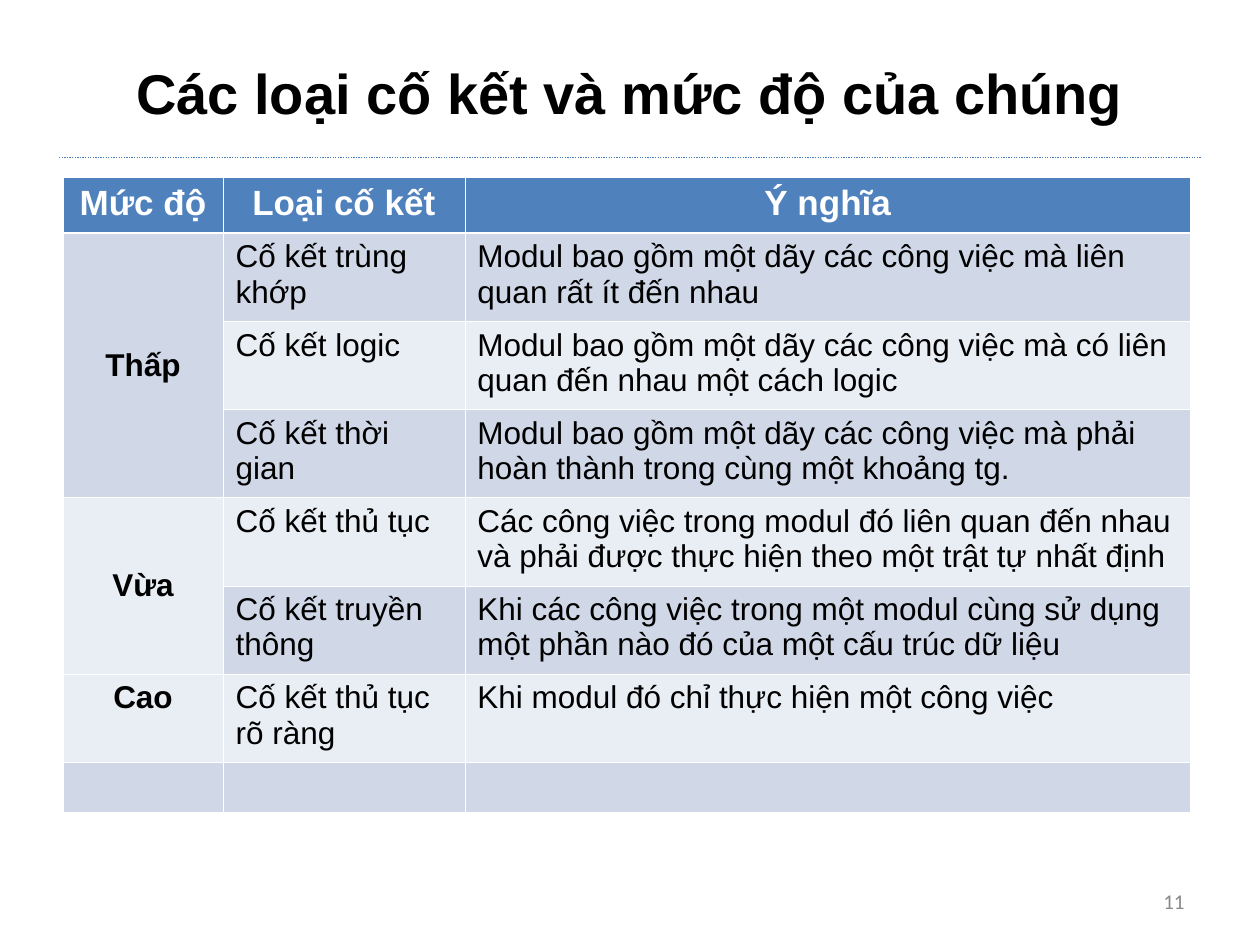
from dataclasses import dataclass

from lxml.etree import SubElement
from pptx import Presentation
from pptx.dml.color import RGBColor as Color
from pptx.enum.dml import MSO_LINE_DASH_STYLE as Dash
from pptx.enum.shapes import MSO_CONNECTOR_TYPE as Connector
from pptx.enum.text import MSO_VERTICAL_ANCHOR as Anchor, PP_PARAGRAPH_ALIGNMENT as Align
from pptx.oxml import parse_xml
from pptx.oxml.ns import nsdecls, qn
from pptx.util import Inches, Pt

COLUMNS, ROWS = 100, 75


@dataclass(frozen=True)
class Theme:
    """Colours, fonts and type sizes of the deck."""
    text: str = "000000"
    muted: str = "898989"
    rule: str = "4A7EBB"
    header: str = "4F81BD"
    header_text: str = "FFFFFF"
    border: str = "FFFFFF"
    bands: tuple = ("D0D8E8", "E9EDF4")
    font: str = "Arial"
    number_font: str = "Calibri"
    title_size: int = 32
    header_size: int = 20
    body_size: int = 18
    number_size: int = 12
    thin: float = 0.45
    thick: float = 1.47


def apply(target, values):
    """Set each named attribute on the target."""
    for name, value in values.items():
        setattr(target, name, value)


class SlideBuilder:
    """Draws styled elements on the current slide, measured in grid units."""

    def __init__(self, presentation, theme):
        """Add a title-only slide to the presentation."""
        self.theme = theme
        self.unit_x = presentation.slide_width / COLUMNS
        self.unit_y = presentation.slide_height / ROWS
        self.slide = presentation.slides.add_slide(presentation.slide_layouts[5])

    def box(self, left, top, width, height):
        """Turn grid units into lengths."""
        return (round(left * self.unit_x), round(top * self.unit_y),
                round(width * self.unit_x), round(height * self.unit_y))

    def set_text(self, frame, text, size, color=None, bold=False, align=Align.LEFT, font=None):
        """Fill the first paragraph of a text frame and format it."""
        paragraph = frame.paragraphs[0]
        paragraph.text = text
        paragraph.alignment = align
        apply(paragraph.font, {"name": font or self.theme.font, "size": Pt(size), "bold": bold})
        paragraph.font.color.rgb = Color.from_string(color or self.theme.text)

    def title(self, text, area):
        """Place and format the title placeholder."""
        shape = self.slide.shapes.title
        apply(shape, dict(zip(("left", "top", "width", "height"), self.box(*area))))
        shape.text_frame.vertical_anchor = Anchor.MIDDLE
        self.set_text(shape.text_frame, text, self.theme.title_size, bold=True,
                      align=Align.CENTER)

    def rule(self, left, top, width):
        """Draw a dotted horizontal line."""
        x, y, length, _ = self.box(left, top, width, 0)
        line = self.slide.shapes.add_connector(Connector.STRAIGHT, x, y, x + length, y)
        line.line.color.rgb = Color.from_string(self.theme.rule)
        apply(line.line, {"width": Pt(0.75), "dash_style": Dash.ROUND_DOT})
        SubElement(line._element.spPr, qn("a:effectLst"))

    def page_number(self, text, area):
        """Put the page number in a text box."""
        frame = self.slide.shapes.add_textbox(*self.box(*area)).text_frame
        apply(frame, {"word_wrap": True, "vertical_anchor": Anchor.MIDDLE})
        self.set_text(frame, text, self.theme.number_size, self.theme.muted,
                      align=Align.RIGHT, font=self.theme.number_font)

    def borders(self, cell, top, bottom):
        """Outline a cell with the border colour."""
        widths = {"lnL": self.theme.thin, "lnR": self.theme.thin, "lnT": top, "lnB": bottom}
        properties = cell._tc.get_or_add_tcPr()
        for index, (side, width) in enumerate(widths.items()):
            properties.insert(index, parse_xml(
                f'<a:{side} {nsdecls("a")} w="{Pt(width)}"><a:solidFill>'
                f'<a:srgbClr val="{self.theme.border}"/></a:solidFill></a:{side}>'))

    def cell(self, cell, text, row, column):
        """Fill, outline and label one table cell."""
        theme = self.theme
        is_header = row == 0
        emphasis = is_header or column == 0
        cell.fill.solid()
        fill = theme.header if is_header else theme.bands[(row - 1) % 2]
        cell.fill.fore_color.rgb = Color.from_string(fill)
        self.borders(cell, theme.thick if row == 1 else theme.thin,
                     theme.thick if is_header else theme.thin)
        cell.vertical_anchor = Anchor.MIDDLE if cell.is_merge_origin else Anchor.TOP
        self.set_text(cell.text_frame, text,
                      theme.header_size if is_header else theme.body_size,
                      theme.header_text if is_header else theme.text,
                      emphasis, Align.CENTER if emphasis else Align.LEFT)

    def table(self, records, left, top, widths, heights, spans):
        """Add a table whose first column merges over the given row spans."""
        area = self.box(left, top, sum(widths), sum(heights))
        table = self.slide.shapes.add_table(len(heights), len(widths), *area).table
        for column, width in zip(table.columns, widths):
            column.width = round(width * self.unit_x)
        for row, height in zip(table.rows, heights):
            row.height = round(height * self.unit_y)
        for first, last in spans:
            table.cell(first, 0).merge(table.cell(last, 0))
        for row, record in enumerate(records):
            for column, text in enumerate(record):
                self.cell(table.cell(row, column), text, row, column)


RECORDS = [
    ("Mức độ", "Loại cố kết", "Ý nghĩa"),
    ("Thấp", "Cố kết trùng khớp",
     "Modul bao gồm một dãy các công việc mà liên quan rất ít đến nhau"),
    ("", "Cố kết logic",
     "Modul bao gồm một dãy các công việc mà có liên quan đến nhau một cách logic"),
    ("", "Cố kết thời gian",
     "Modul bao gồm một dãy các công việc mà phải hoàn thành trong cùng một khoảng tg."),
    ("Vừa", "Cố kết thủ tục",
     "Các công việc trong modul đó liên quan đến nhau và phải được thực hiện "
     "theo một trật tự nhất định"),
    ("", "Cố kết truyền thông",
     "Khi các công việc trong một modul cùng sử dụng một phần nào đó của một cấu trúc dữ liệu"),
    ("Cao", "Cố kết thủ tục rõ ràng", "Khi modul đó chỉ thực hiện một công việc"),
    ("", "", ""),
]


def main():
    """Build the cohesion slide and save it."""
    presentation = Presentation()
    apply(presentation, {"slide_width": Inches(10), "slide_height": Inches(7.5)})
    builder = SlideBuilder(presentation, Theme())
    builder.rule(4.7, 12.5, 90.6)
    builder.title("Các loại cố kết và mức độ của chúng", (5, 3, 90, 8.7))
    builder.table(RECORDS, 5, 14.1, widths=(12.7, 19.2, 57.6),
                  heights=(4.4, *[7] * 6, 4), spans=((1, 3), (4, 5)))
    builder.page_number("11", (71.7, 69.5, 23.3, 4))
    presentation.save("out.pptx")


if __name__ == "__main__":
    main()
